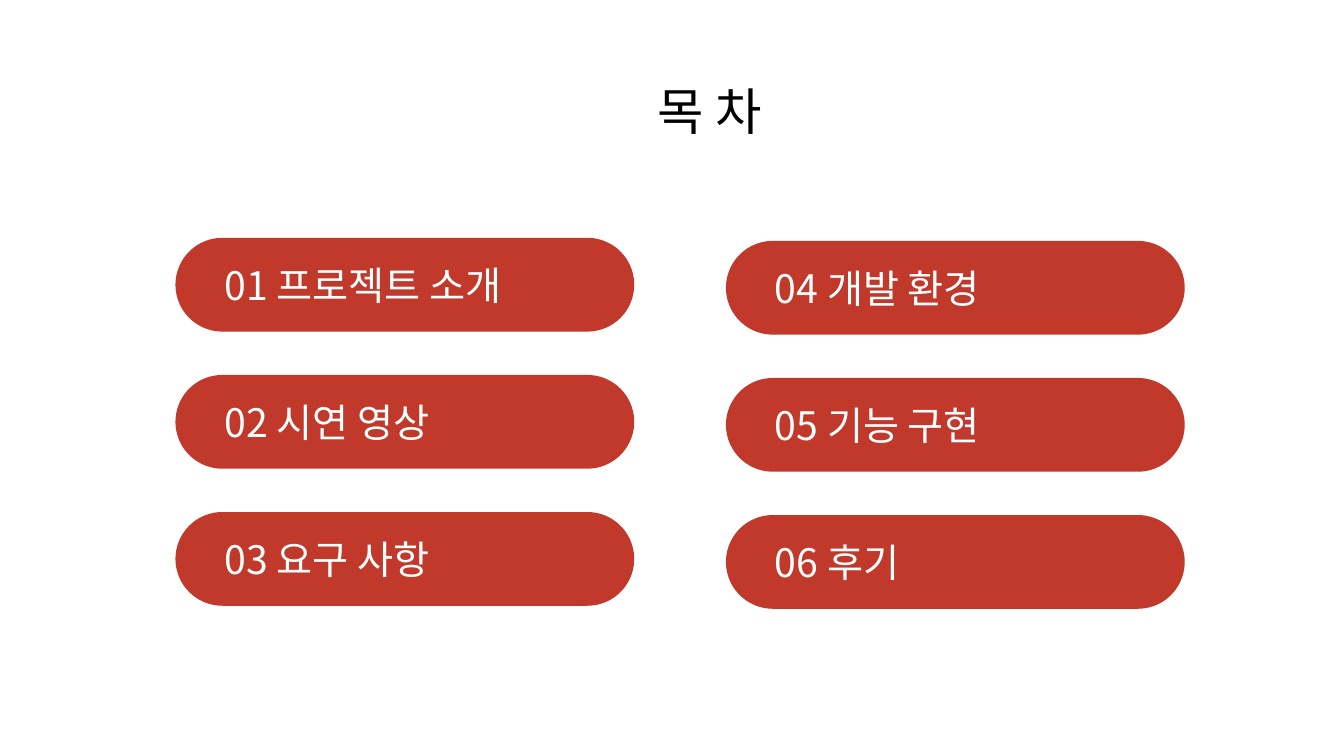
from lxml import etree
from pptx import Presentation
from pptx.dml.color import RGBColor
from pptx.enum.shapes import MSO_SHAPE
from pptx.enum.text import MSO_ANCHOR, MSO_AUTO_SIZE, PP_ALIGN
from pptx.oxml.ns import qn
from pptx.util import Inches, Pt

PILL = MSO_SHAPE.ROUNDED_RECTANGLE
TOP, MIDDLE = MSO_ANCHOR.TOP, MSO_ANCHOR.MIDDLE
LEFT = PP_ALIGN.LEFT
GROW = MSO_AUTO_SIZE.SHAPE_TO_FIT_TEXT
FONT_NAME = "Noto Sans CJK KR"
RED, WHITE, BLACK = "C0392B", "FFFFFF", "000000"

PILL_WIDTH, PILL_HEIGHT, PILL_PITCH = 4.55, 0.93, 1.36
COLUMNS = [
    (1.74, 2.36, ["01 프로젝트 소개", "02 시연 영상", "03 요구 사항"]),
    (7.2, 2.39, ["04 개발 환경", "05 기능 구현", "06 후기"]),
]
TITLE_FRAME = {
    "word_wrap": False,
    "auto_size": GROW,
    "vertical_anchor": TOP,
}
PILL_FRAME = {
    "word_wrap": True,
    "vertical_anchor": MIDDLE,
    "margin_left": Inches(0.35),
    "margin_right": Inches(0.1),
}


def set_attributes(target, values):
    """Set each named value on the target object."""
    for name, value in values.items():
        setattr(target, name, value)


def color(hex_value):
    """Turn a hex string into a colour."""
    return RGBColor.from_string(hex_value)


def write_text(shape, text, size, hex_value, frame_format):
    """Write one left-aligned line of formatted text in a shape."""
    frame = shape.text_frame
    set_attributes(frame, frame_format)
    paragraph = frame.paragraphs[0]
    paragraph.alignment = LEFT
    run = paragraph.add_run()
    run.text = text
    set_attributes(run.font, {"name": FONT_NAME, "size": Pt(size)})
    run.font.color.rgb = color(hex_value)
    east_asian = etree.SubElement(run.font._element, qn("a:ea"))
    east_asian.set("typeface", FONT_NAME)


def add_title(slide, text):
    """Place and fill the title placeholder."""
    title = slide.shapes.title
    set_attributes(title, {
        "left": Inches(6.42),
        "top": Inches(0.74),
        "width": Inches(1.35),
        "height": Inches(0.71),
    })
    write_text(title, text, 36, BLACK, TITLE_FRAME)


def add_pill(slide, left, top, text):
    """Add one agenda entry as a red pill."""
    pill = slide.shapes.add_shape(
        PILL, Inches(left), Inches(top), Inches(PILL_WIDTH), Inches(PILL_HEIGHT)
    )
    pill.adjustments[0] = 0.5
    pill.shadow.inherit = False
    pill.fill.solid()
    pill.fill.fore_color.rgb = color(RED)
    pill.line.fill.background()
    write_text(pill, text, 28, WHITE, PILL_FRAME)


def main():
    """Build the agenda slide and save it."""
    presentation = Presentation()
    presentation.slide_width = Inches(13.33)
    presentation.slide_height = Inches(7.5)
    slide = presentation.slides.add_slide(
        presentation.slide_layouts.get_by_name("Title Only")
    )
    add_title(slide, "목 차")
    for left, first_top, entries in COLUMNS:
        for row, entry in enumerate(entries):
            add_pill(slide, left, first_top + row * PILL_PITCH, entry)
    presentation.save("out.pptx")


if __name__ == "__main__":
    main()
